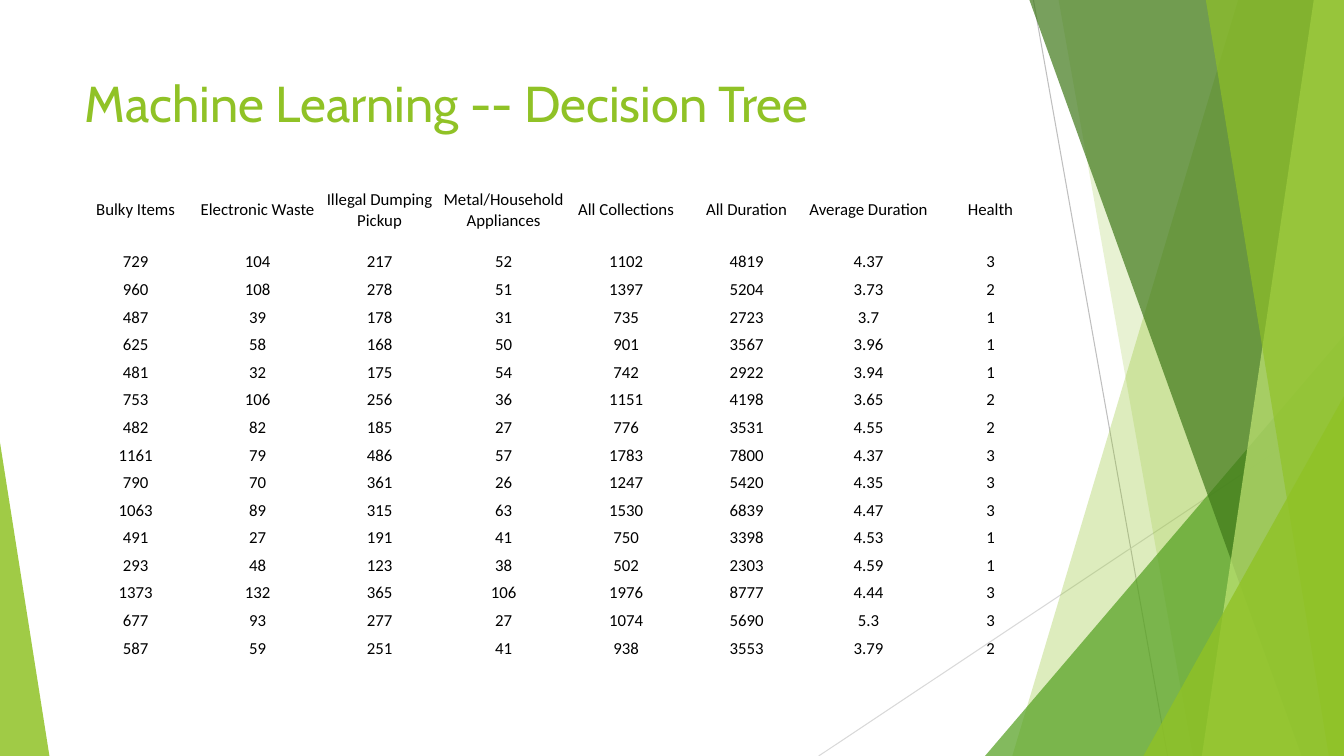
from dataclasses import dataclass

from lxml.etree import SubElement
from pptx import Presentation
from pptx.dml.color import RGBColor
from pptx.enum.shapes import MSO_CONNECTOR, MSO_SHAPE
from pptx.enum.text import MSO_ANCHOR, PP_ALIGN
from pptx.oxml.ns import qn
from pptx.util import Inches, Pt


@dataclass(frozen=True)
class Theme:
    """Colours, fonts and type sizes of the slide."""
    lime: str = "90C226"
    green: str = "54A021"
    forest: str = "3F7819"
    pale: str = "C0E474"
    steep_line: str = "BFBFBF"
    flat_line: str = "D9D9D9"
    text: str = "000000"
    title_font: str = "Cabin"
    table_font: str = "Calibri"
    title_size: int = 36
    table_size: int = 12
    line_width: float = 0.75


THEME = Theme()
NO_TABLE_STYLE = "{2D5ABB26-0587-4C30-8999-92F81FD0307C}"
COLUMN_WIDTHS = (1.21, 1.21, 1.21, 1.25, 1.18, 1.21, 1.21, 1.21)
HEADER_HEIGHT = 0.76
HEADERS = ("Bulky Items", "Electronic Waste", "Illegal Dumping\nPickup",
           "Metal/Household\nAppliances", "All Collections", "All Duration",
           "Average Duration", "Health")
RECORDS = (
    (729, 104, 217, 52, 1102, 4819, 4.37, 3),
    (960, 108, 278, 51, 1397, 5204, 3.73, 2),
    (487, 39, 178, 31, 735, 2723, 3.7, 1),
    (625, 58, 168, 50, 901, 3567, 3.96, 1),
    (481, 32, 175, 54, 742, 2922, 3.94, 1),
    (753, 106, 256, 36, 1151, 4198, 3.65, 2),
    (482, 82, 185, 27, 776, 3531, 4.55, 2),
    (1161, 79, 486, 57, 1783, 7800, 4.37, 3),
    (790, 70, 361, 26, 1247, 5420, 4.35, 3),
    (1063, 89, 315, 63, 1530, 6839, 4.47, 3),
    (491, 27, 191, 41, 750, 3398, 4.53, 1),
    (293, 48, 123, 38, 502, 2303, 4.59, 1),
    (1373, 132, 365, 106, 1976, 8777, 4.44, 3),
    (677, 93, 277, 27, 1074, 5690, 5.3, 3),
    (587, 59, 251, 41, 938, 3553, 3.79, 2),
)


def set_font(p, name, size, color):
    """Set the font of a whole paragraph."""
    p.font.name = name
    p.font.size = Pt(size)
    p.font.color.rgb = RGBColor.from_string(color)


def paint(sp, color, opacity):
    """Give a shape a translucent fill with no outline or shadow."""
    sp.shadow.inherit = False
    sp.line.fill.background()
    sp.fill.solid()
    sp.fill.fore_color.rgb = RGBColor.from_string(color)
    clr = sp.fill._xPr.find(qn("a:solidFill"))[0]
    SubElement(clr, qn("a:alpha"), val=str(opacity * 1000))


def add_line(s, start, end, color):
    """Draw a thin straight line without a shadow."""
    line = s.shapes.add_connector(MSO_CONNECTOR.STRAIGHT, *map(Inches, start + end))
    line.line.color.rgb = RGBColor.from_string(color)
    line.line.width = Pt(THEME.line_width)
    SubElement(line._element.spPr, qn("a:effectLst"))


def add_facet(s, box, top_reach, bottom_reach, color, opacity):
    """Draw a slanted panel reaching inward from the right edge of the box."""
    left, top, width, height = box
    right, bottom = left + width, top + height
    corners = [(right - top_reach, top), (right, top),
               (right, bottom), (right - bottom_reach, bottom)]
    points = [(Inches(x), Inches(y)) for x, y in corners]
    builder = s.shapes.build_freeform(*points[0])
    builder.add_line_segments(points[1:], close=True)
    paint(builder.convert_to_shape(), color, opacity)


def add_corner(s, box, apex, color, opacity):
    """Draw a right triangle filling the box, with its apex at 0 or 1."""
    sp = s.shapes.add_shape(MSO_SHAPE.ISOSCELES_TRIANGLE, *map(Inches, box))
    sp.adjustments[0] = apex
    paint(sp, color, opacity)


def add_right_facets(s, box):
    """Layer lines, panels and corners along the right side."""
    left, top, width, height = box
    right, bottom = left + width, top + height
    add_line(s, (right - 3.08, top), (right - 1.75, bottom), THEME.steep_line)
    add_line(s, (right, bottom - 3.47), (left, bottom), THEME.flat_line)
    add_facet(s, box, 1.05, 3.29, THEME.lime, 30)
    add_facet(s, box, 2.83, 1.5, THEME.lime, 20)
    add_corner(s, (right - 3.56, bottom - 4.17, 3.56, 4.17), 1, THEME.green, 72)
    add_facet(s, box, 3.12, 0.42, THEME.forest, 70)
    add_facet(s, box, 0.3, 1.41, THEME.pale, 70)
    add_facet(s, box, 1.37, 0.15, THEME.lime, 65)
    add_corner(s, (right - 1.99, bottom - 3.57, 1.99, 3.57), 1, THEME.lime, 80)


def add_title(s, box, text):
    """Write the slide title at the top of the box."""
    tf = s.shapes.add_textbox(*map(Inches, box)).text_frame
    tf.word_wrap = True
    tf.vertical_anchor = MSO_ANCHOR.TOP
    p = tf.paragraphs[0]
    p.text = text
    set_font(p, THEME.title_font, THEME.title_size, THEME.lime)


def fill_cell(cell, text):
    """Write centred text in an unfilled cell."""
    cell.fill.background()
    cell.vertical_anchor = MSO_ANCHOR.MIDDLE
    cell.margin_left = cell.margin_right = cell.margin_top = Inches(0.01)
    cell.margin_bottom = 0
    cell.text_frame.text = text
    for p in cell.text_frame.paragraphs:
        p.alignment = PP_ALIGN.CENTER
        set_font(p, THEME.table_font, THEME.table_size, THEME.text)


def add_collection_table(s, box):
    """Lay out the header and the records as a plain table."""
    rows = (HEADERS, *RECORDS)
    table = s.shapes.add_table(len(rows), len(HEADERS), *map(Inches, box)).table
    table.first_row = table.horz_banding = False
    table._tbl.tblPr.find(qn("a:tableStyleId")).text = NO_TABLE_STYLE
    for column, width in zip(table.columns, COLUMN_WIDTHS):
        column.width = Inches(width)
    record_height = (box[3] - HEADER_HEIGHT) / len(RECORDS)
    for i, values in enumerate(rows):
        table.rows[i].height = Inches(record_height if i else HEADER_HEIGHT)
        for j, value in enumerate(values):
            fill_cell(table.cell(i, j), str(value))


def main():
    """Build and save the slide."""
    prs = Presentation()
    prs.slide_width, prs.slide_height = Inches(13.33), Inches(7.5)
    s = prs.slides.add_slide(prs.slide_layouts[6])
    add_right_facets(s, (8.12, 0, 5.21, 7.5))
    add_corner(s, (0, 4.39, 0.49, 3.11), 0, THEME.lime, 85)
    add_title(s, (0.74, 0.67, 9.4, 1.44), "Machine Learning -- Decision Tree")
    add_collection_table(s, (0.74, 1.7, 9.69, 4.87))
    prs.save("out.pptx")


if __name__ == "__main__":
    main()
